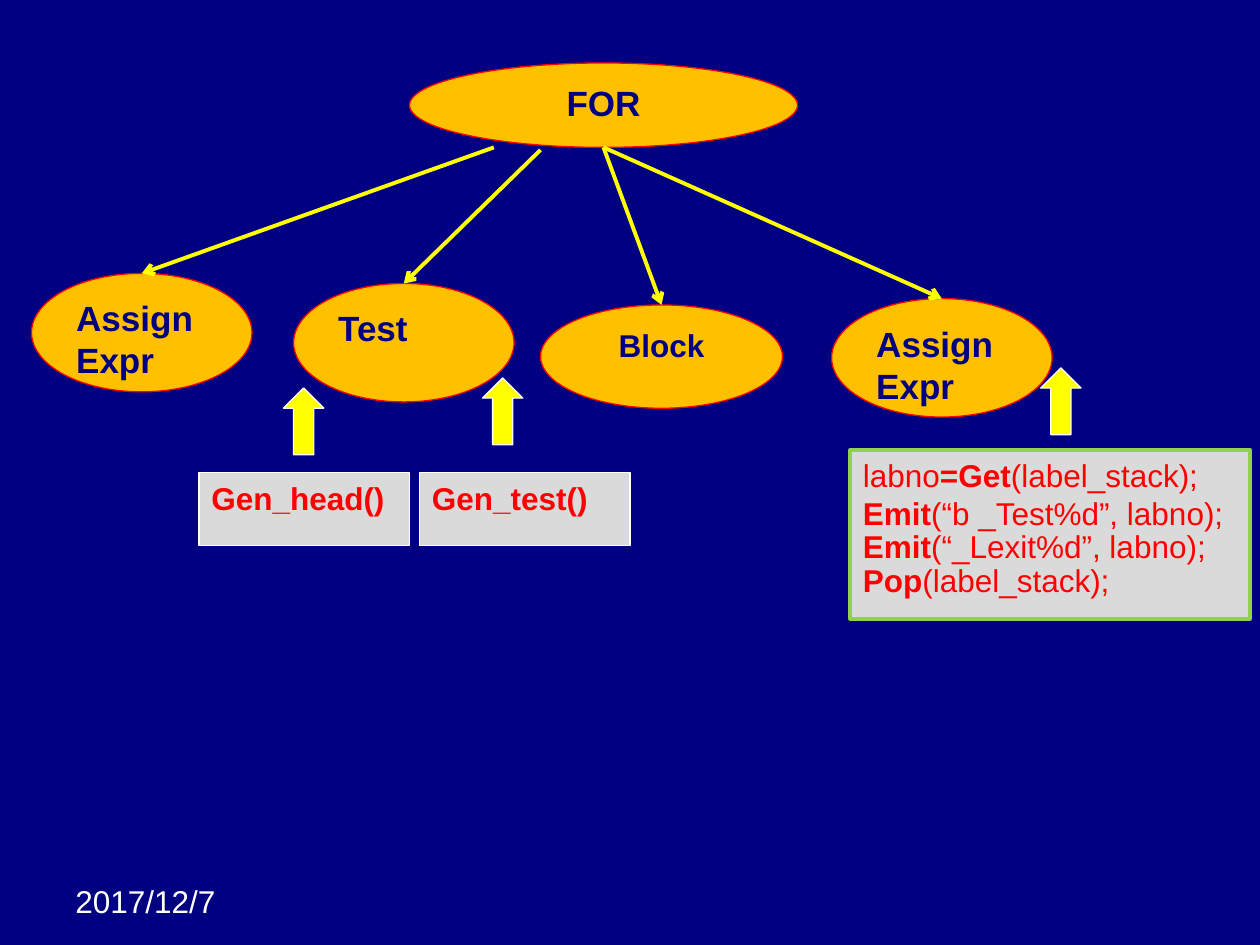
from dataclasses import dataclass

from pptx import Presentation
from pptx.dml.color import RGBColor
from pptx.enum.shapes import MSO_CONNECTOR as Connector, MSO_SHAPE as Preset
from pptx.enum.text import MSO_ANCHOR as Anchor, PP_ALIGN as Align
from pptx.oxml.ns import qn
from pptx.util import Inches, Pt
from lxml.etree import SubElement


@dataclass(frozen=True)
class Theme:
    font: str = "Arial"
    navy: str = "000080"
    white: str = "FFFFFF"
    amber: str = "FFC000"
    red: str = "FF0000"
    yellow: str = "FFFF00"
    gray: str = "DADADA"
    green: str = "92D050"
    large: int = 20
    body: int = 18
    thin: float = 0.75
    thick: float = 2.25


THEME = Theme()


@dataclass(frozen=True)
class Run:
    text: str
    bold: bool = True


@dataclass(frozen=True)
class Para:
    runs: tuple[Run, ...]
    spacing: float = 1.0


@dataclass(frozen=True)
class Node:
    left: float
    top: float
    width: float
    height: float
    lines: tuple[str, ...]
    size: int = THEME.large
    align: Align = Align.LEFT


@dataclass(frozen=True)
class CodeBox:
    left: float
    top: float
    width: float
    height: float
    paras: tuple[Para, ...]
    line: str = THEME.white
    weight: float = THEME.thin


def rgb(value: str) -> RGBColor:
    return RGBColor.from_string(value)


def bold_para(text: str) -> Para:
    return Para((Run(text),))


def write(shape, paras: tuple[Para, ...], size: int, color: str, align=Align.LEFT) -> None:
    frame = shape.text_frame
    frame.word_wrap = True
    frame.vertical_anchor = Anchor.TOP
    for index, item in enumerate(paras):
        para = frame.paragraphs[0] if index == 0 else frame.add_paragraph()
        para.alignment = align
        para.line_spacing = item.spacing
        for run in item.runs:
            span = para.add_run()
            span.text = run.text
            style = {"name": THEME.font, "size": Pt(size), "bold": run.bold}
            for name, value in style.items():
                setattr(span.font, name, value)
            span.font.color.rgb = rgb(color)


def add_preset(page, preset, bounds: tuple[float, ...], fill: str, line: str,
               weight: float = THEME.thin):
    shape = page.shapes.add_shape(preset, *map(Inches, bounds))
    shape.shadow.inherit = False
    shape.fill.solid()
    shape.fill.fore_color.rgb = rgb(fill)
    shape.line.color.rgb = rgb(line)
    shape.line.width = Pt(weight)
    return shape


def add_node(page, node: Node) -> None:
    bounds = (node.left, node.top, node.width, node.height)
    oval = add_preset(page, Preset.OVAL, bounds, THEME.amber, THEME.red)
    write(oval, tuple(map(bold_para, node.lines)), node.size, THEME.navy, node.align)


def add_code_box(page, code: CodeBox) -> None:
    bounds = (code.left, code.top, code.width, code.height)
    box = add_preset(page, Preset.RECTANGLE, bounds, THEME.gray, code.line, code.weight)
    write(box, code.paras, THEME.body, THEME.red)


def add_branch(page, start: tuple[float, float], child: Node) -> None:
    """Arrow from the root to the top centre of a child node."""
    end = (child.left + child.width / 2, child.top)
    branch = page.shapes.add_connector(Connector.STRAIGHT, *map(Inches, start + end))
    branch.line.color.rgb = rgb(THEME.yellow)
    branch.line.width = Pt(THEME.thick)
    SubElement(branch.line._get_or_add_ln(), qn("a:tailEnd"), type="arrow")
    SubElement(branch._element.spPr, qn("a:effectLst"))


# Tree content
ROOT = Node(3.25, 0.5, 3.08, 0.67, ("FOR",), align=Align.CENTER)
CHILD_SIZE = (1.75, 0.94)
ROOT_BOTTOM = (ROOT.left + ROOT.width / 2, ROOT.top + ROOT.height)
BRANCHES = (
    ((3.92, 1.17), Node(0.25, 2.17, *CHILD_SIZE, ("Assign", "Expr"))),
    ((4.29, 1.19), Node(2.33, 2.25, *CHILD_SIZE, ("Test",))),
    (ROOT_BOTTOM, Node(4.29, 2.42, 1.92, 0.82, ("Block",), THEME.body, Align.CENTER)),
    (ROOT_BOTTOM, Node(6.6, 2.37, *CHILD_SIZE, ("Assign", "Expr"))),
)

# Code emitted at each point of the tree
LABEL_CODE = (
    Para((Run("labno", False), Run("=Get"), Run("(label_stack);", False))),
    Para((Run("Emit"), Run("(“b _Test%d”, labno);", False))),
    Para((Run("Emit"), Run("(“_Lexit%d”, labno); ", False),
          Run("Pop"), Run("(label_stack);", False)), 0.9),
)
CODE_BOXES = (
    CodeBox(1.58, 3.75, 1.67, 0.58, (bold_para("Gen_head()"),)),
    CodeBox(3.33, 3.75, 1.67, 0.58, (bold_para("Gen_test()"),)),
    CodeBox(6.75, 3.57, 3.17, 1.34, LABEL_CODE, THEME.green, THEME.thick),
)
POINTERS = ((2.25, 3.08), (3.83, 3.0), (8.26, 2.92))


def main() -> None:
    deck = Presentation()
    deck.slide_width, deck.slide_height = Inches(10), Inches(7.5)
    page = deck.slides.add_slide(deck.slide_layouts[6])
    page.background.fill.solid()
    page.background.fill.fore_color.rgb = rgb(THEME.navy)

    # Date
    date = page.shapes.add_textbox(*map(Inches, (0.5, 6.95, 1.58, 0.4)))
    write(date, (Para((Run("2017/12/7", False),)),), THEME.body, THEME.white)

    # Syntax tree
    add_node(page, ROOT)
    for start, child in BRANCHES:
        add_node(page, child)
        add_branch(page, start, child)

    # Generated code and its pointers
    for code in CODE_BOXES:
        add_code_box(page, code)
    for left, top in POINTERS:
        add_preset(page, Preset.UP_ARROW, (left, top, 0.32, 0.53), THEME.yellow, THEME.white)

    deck.save("out.pptx")


if __name__ == "__main__":
    main()
